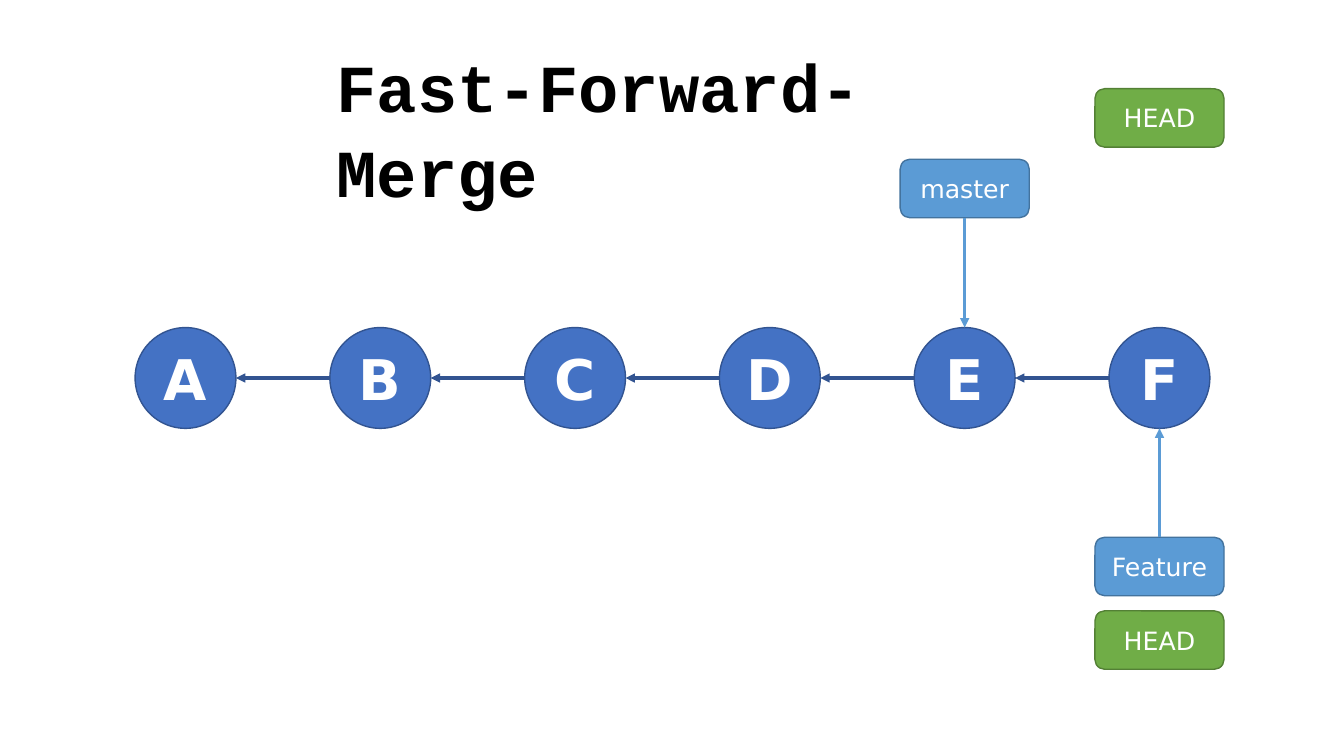
import pptx
import pptx.dml.color
import pptx.enum.shapes
import pptx.enum.text
import pptx.oxml
import pptx.oxml.ns
import pptx.util

SHAPE = pptx.enum.shapes.MSO_SHAPE
inches = pptx.util.Inches

COMMITS = "ABCDEF"
FIRST_CENTER, LAST_CENTER = 1.84, 11.5
COLUMN = (LAST_CENTER - FIRST_CENTER) / (len(COMMITS) - 1)
ROW_CENTER = 3.75
DIAMETER = 1
LABEL_WIDTH, LABEL_HEIGHT = 1.28, 0.58

COMMIT_STYLE = ("4472C4", "325491")
BRANCH_STYLE = ("5B9BD5", "43739E")
HEAD_STYLE = ("70AD47", "538035")


def color(value):
    return pptx.dml.color.RGBColor.from_string(value)


def column_center(commit):
    return FIRST_CENTER + COLUMN * COMMITS.index(commit)


def add_node(page, kind, box, text, size, style, bold=False):
    """Add a filled shape with centred white text; box is left, top, width, height."""
    node = page.shapes.add_shape(kind, *map(inches, box))
    node.shadow.inherit = False
    fill, outline = style
    node.fill.solid()
    node.fill.fore_color.rgb = color(fill)
    node.line.color.rgb = color(outline)
    node.line.width = pptx.util.Pt(1)
    node.text_frame.vertical_anchor = pptx.enum.text.MSO_ANCHOR.MIDDLE
    para = node.text_frame.paragraphs[0]
    para.text = text
    para.alignment = pptx.enum.text.PP_ALIGN.CENTER
    para.font.name = "DejaVu Sans"
    para.font.size = pptx.util.Pt(size)
    para.font.bold = bold
    para.font.color.rgb = color("FFFFFF")
    return node


def add_arrow(page, start, end, line_color):
    arrow = page.shapes.add_connector(
        pptx.enum.shapes.MSO_CONNECTOR.STRAIGHT, *map(inches, (*start, *end)))
    arrow.line.color.rgb = color(line_color)
    arrow.line.width = pptx.util.Pt(2.25)
    line = arrow.line._get_or_add_ln()
    pptx.oxml.ns.qn("a:tailEnd")
    line.append(pptx.oxml.parse_xml(
        f'<a:tailEnd {pptx.oxml.ns.nsdecls("a")} type="triangle"/>'))
    arrow._element.spPr.append(pptx.oxml.parse_xml(
        f'<a:effectLst {pptx.oxml.ns.nsdecls("a")}/>'))
    return arrow


def add_title(page, box, text):
    frame = page.shapes.add_textbox(*map(inches, box)).text_frame
    frame.word_wrap = True
    frame.margin_top = inches(0.15)
    para = frame.paragraphs[0]
    para.text = text
    para.line_spacing = 1.05
    para.font.name = "Courier New"
    para.font.size = pptx.util.Pt(48)
    para.font.bold = True
    para.font.color.rgb = color("000000")


def add_history(page):
    """Add the row of commits, each pointing back to its parent."""
    radius = DIAMETER / 2
    for index, commit in enumerate(COMMITS):
        left = column_center(commit) - radius
        add_node(page, SHAPE.OVAL, (left, ROW_CENTER - radius, DIAMETER, DIAMETER),
                 commit, 40, COMMIT_STYLE, bold=True)
        if index:
            parent_right = left - COLUMN + DIAMETER
            add_arrow(page, (left, ROW_CENTER), (parent_right, ROW_CENTER),
                      COMMIT_STYLE[1])


def add_label(page, commit, top, text, style):
    """Add a label centred on the column of a commit."""
    center = column_center(commit)
    box = (center - LABEL_WIDTH / 2, top, LABEL_WIDTH, LABEL_HEIGHT)
    return add_node(page, SHAPE.ROUNDED_RECTANGLE, box, text, 18, style)


def add_branch(page, commit, top, name):
    """Add a branch label with an arrow to the near edge of its commit."""
    label = add_label(page, commit, top, name, BRANCH_STYLE)
    center = column_center(commit)
    above = top < ROW_CENTER
    start = top + LABEL_HEIGHT if above else top
    end = ROW_CENTER + (-DIAMETER if above else DIAMETER) / 2
    arrow = add_arrow(page, (center, start), (center, end), BRANCH_STYLE[0])
    arrow.begin_connect(label, 2 if above else 0)


def main():
    deck = pptx.Presentation()
    deck.slide_width, deck.slide_height = inches(13.33), inches(7.5)
    page = deck.slides.add_slide(deck.slide_layouts[6])
    add_title(page, (3.24, 0.26, 6.86, 0.91), "Fast-Forward-Merge")
    add_history(page)
    add_branch(page, "E", 1.58, "master")
    add_branch(page, "F", 5.33, "Feature")
    for top in (6.06, 0.88):
        add_label(page, "F", top, "HEAD", HEAD_STYLE)
    deck.save("out.pptx")


if __name__ == "__main__":
    main()
